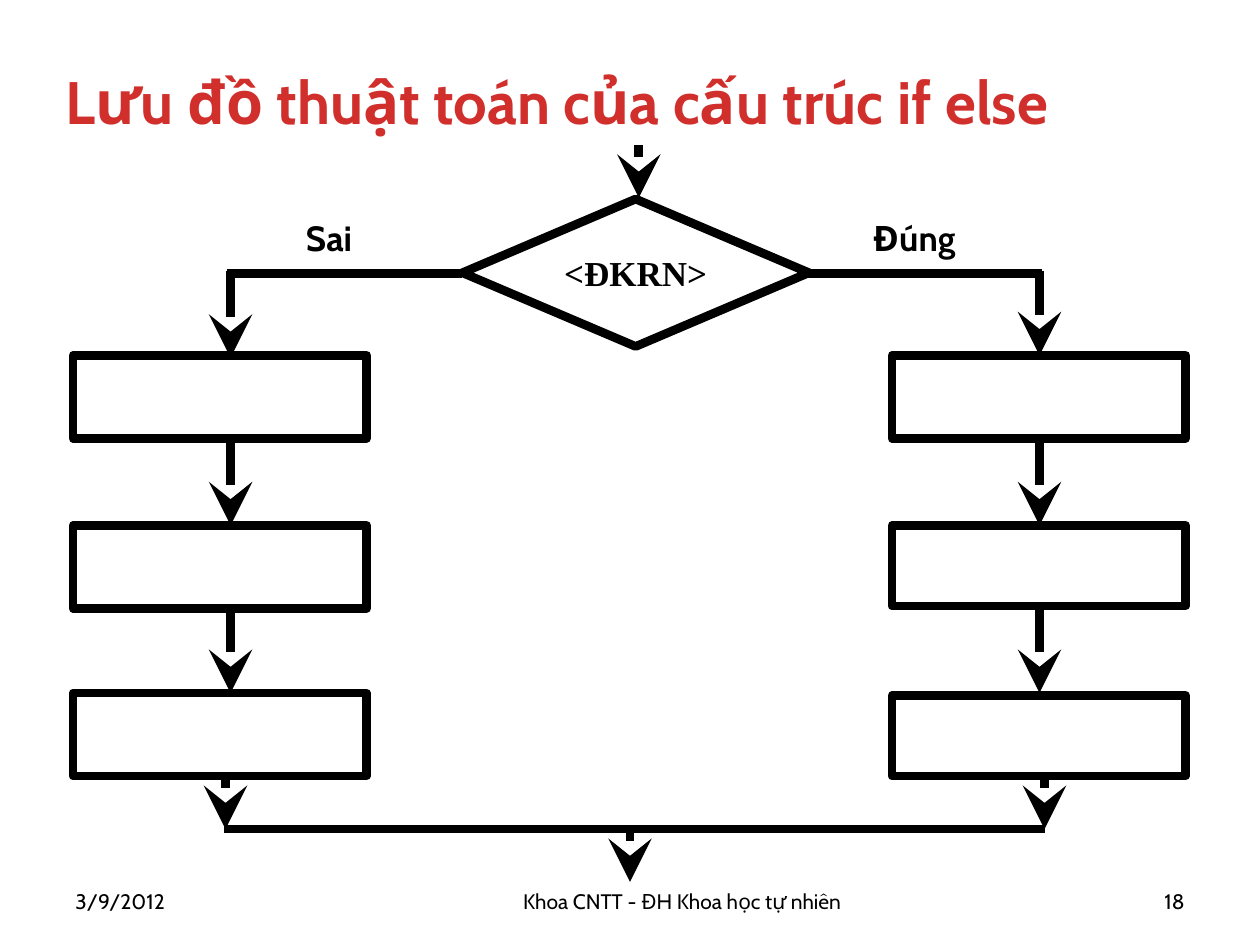
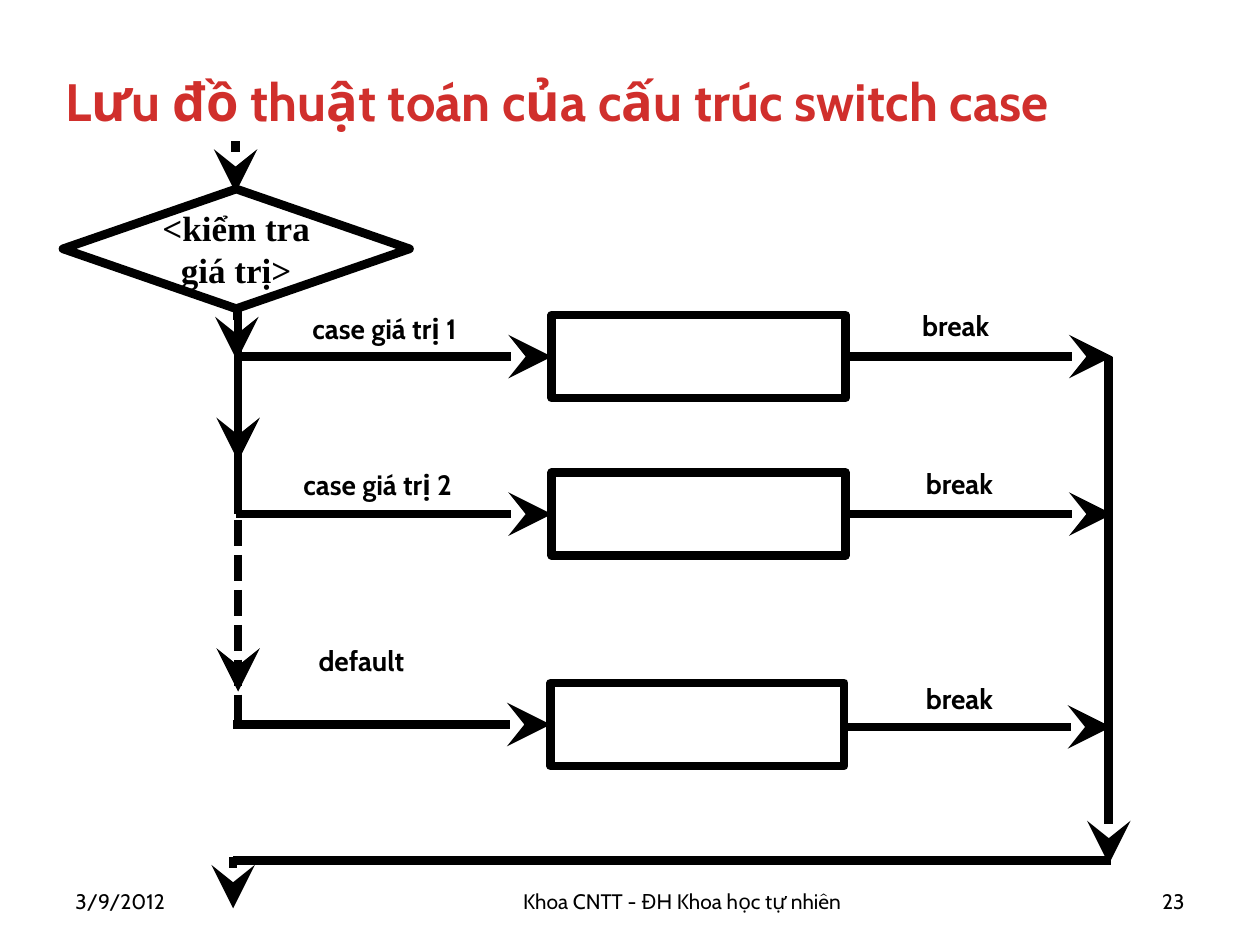
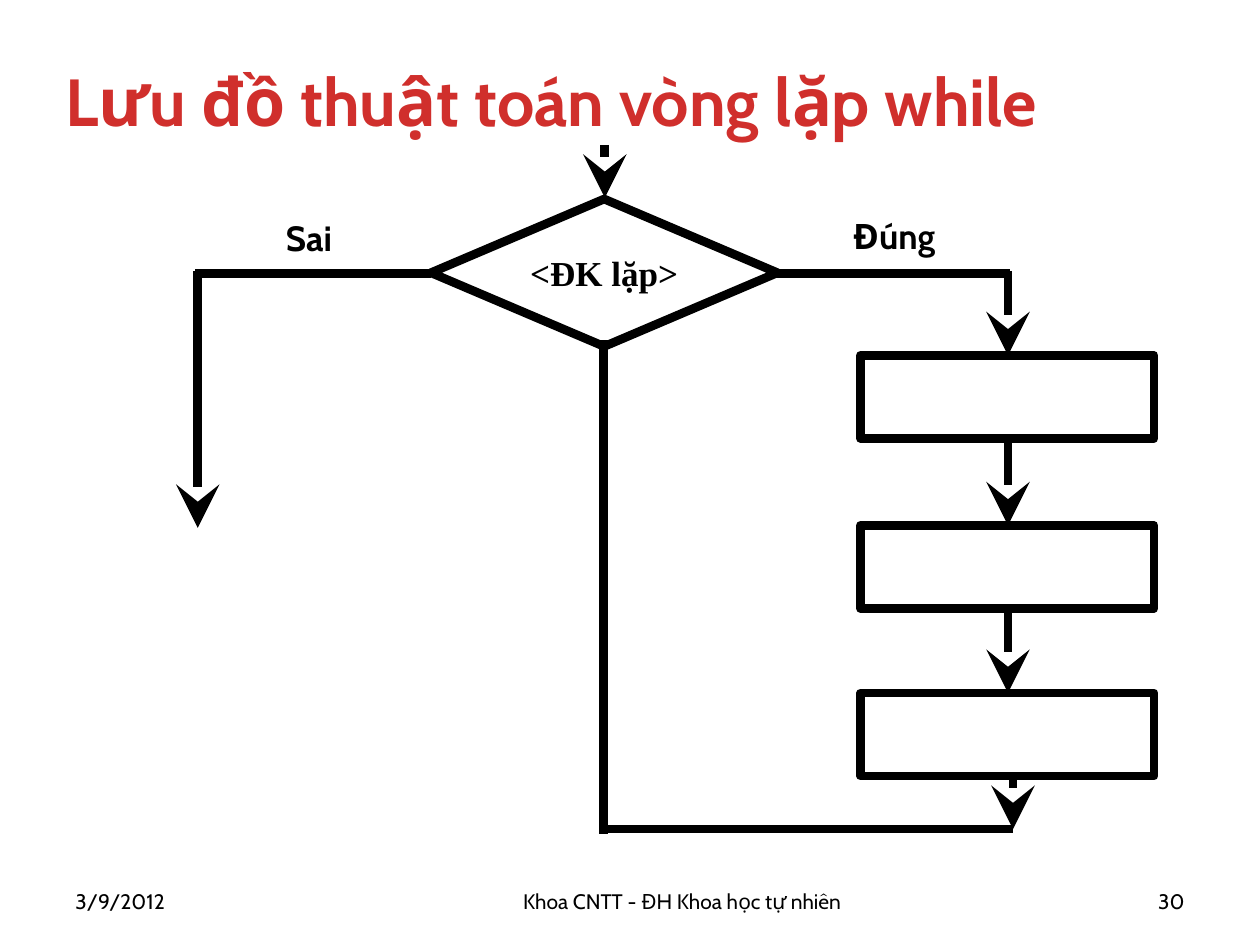
"""Build three flowchart slides: if else, switch case and while."""
from dataclasses import dataclass

from lxml import etree
from pptx import Presentation
from pptx import util as u
from pptx.dml.color import RGBColor
from pptx.enum import dml, shapes, text
from pptx.oxml import ns

ALIGN = text.PP_ALIGN
ANCHOR = text.MSO_ANCHOR


@dataclass(frozen=True)
class Theme:
    ink: str = "000000"
    paper: str = "FFFFFF"
    heading: str = "D02F2C"
    face: str = "Cabin"
    condition_face: str = "Times New Roman"
    branch_size: float = 20
    case_size: float = 16
    footer_size: float = 12
    stroke: float = 5
    step_width: float = 2.33
    step_height: float = 0.66
    diamond_width: float = 2.75
    label_height: float = 0.44
    date: str = "3/9/2012"
    school: str = "Khoa CNTT - ĐH Khoa học tự nhiên"


def write(frame, words, size, color, face, bold=False, align=ALIGN.LEFT,
          anchor=ANCHOR.TOP, inset=0.1):
    frame.text = words
    frame.word_wrap = True
    frame.auto_size = text.MSO_AUTO_SIZE.NONE
    frame.vertical_anchor = anchor
    frame.margin_left = frame.margin_right = u.Inches(inset)
    frame.margin_top = frame.margin_bottom = u.Inches(0.05)
    paragraph = frame.paragraphs[0]
    paragraph.alignment = align
    paragraph.space_before = u.Pt(0)
    font = paragraph.runs[0].font
    font.size = u.Pt(size)
    font.name = face
    font.bold = bold
    font.color.rgb = RGBColor.from_string(color)


class Deck:
    def __init__(self, theme):
        self.theme = theme
        self.show = Presentation()
        self.show.slide_width = u.Inches(10)
        self.show.slide_height = u.Inches(7.5)
        self.slide = None

    def start(self, heading, size, number):
        theme = self.theme
        self.slide = self.show.slides.add_slide(self.show.slide_layouts[1])
        title = self.slide.shapes.title
        self.place(title, 0.42, 0.17, 9.42, 1.25)
        write(title.text_frame, heading, size, theme.heading, theme.face,
              bold=True, anchor=ANCHOR.MIDDLE)
        for words, left, width, align in (
                (theme.date, 0.5, 1.08, ALIGN.LEFT),
                (theme.school, 2.08, 6.67, ALIGN.CENTER),
                (str(number), 8.92, 0.58, ALIGN.RIGHT)):
            self.text_box(words, left, 6.95, width, 0.4, size=theme.footer_size,
                          align=align, anchor=ANCHOR.MIDDLE)

    def place(self, item, left, top, width, height):
        item.left, item.top = u.Inches(left), u.Inches(top)
        item.width, item.height = u.Inches(width), u.Inches(height)

    def text_box(self, words, left, top, width, height, **style):
        box = self.slide.shapes.add_textbox(
            u.Inches(left), u.Inches(top), u.Inches(width), u.Inches(height))
        write(box.text_frame, words, color=self.theme.ink, face=self.theme.face,
              **style)

    def label(self, words, left, top, width, size):
        self.text_box(words, left, top, width, self.theme.label_height,
                      size=size, bold=True)

    def main_label(self, words, left, top, width, size):
        theme = self.theme
        body = self.slide.placeholders[1]
        self.place(body, left, top, width, theme.label_height)
        write(body.text_frame, words, size, theme.ink, theme.face, bold=True)
        properties = body.text_frame.paragraphs[0]._p.get_or_add_pPr()
        properties.set("marL", "0")
        properties.set("indent", "0")
        etree.SubElement(properties, ns.qn("a:buNone"))

    def outline(self, preset, left, top, width, height):
        item = self.slide.shapes.add_shape(
            preset, u.Inches(left), u.Inches(top), u.Inches(width), u.Inches(height))
        item.shadow.inherit = False
        item.line.color.rgb = RGBColor.from_string(self.theme.ink)
        item.line.width = u.Pt(self.theme.stroke)
        return item

    def condition(self, words, left, top, height):
        theme = self.theme
        diamond = self.outline(shapes.MSO_SHAPE.DIAMOND, left, top,
                               theme.diamond_width, height)
        diamond.fill.solid()
        diamond.fill.fore_color.rgb = RGBColor.from_string(theme.paper)
        write(diamond.text_frame, words, theme.branch_size, theme.ink,
              theme.condition_face, bold=True, align=ALIGN.CENTER,
              anchor=ANCHOR.MIDDLE, inset=0.05)

    def step(self, left, top, height=None):
        box = self.outline(shapes.MSO_SHAPE.RECTANGLE, left, top,
                           self.theme.step_width, height or self.theme.step_height)
        box.fill.background()

    def line(self, x1, y1, x2, y2, arrow=False, dashed=False):
        link = self.slide.shapes.add_connector(
            shapes.MSO_CONNECTOR.STRAIGHT,
            u.Inches(x1), u.Inches(y1), u.Inches(x2), u.Inches(y2))
        link.line.color.rgb = RGBColor.from_string(self.theme.ink)
        link.line.width = u.Pt(self.theme.stroke)
        if dashed:
            link.line.dash_style = dml.MSO_LINE.SQUARE_DOT
        properties = link._element.spPr
        if arrow:
            etree.SubElement(properties.find(ns.qn("a:ln")), ns.qn("a:tailEnd"),
                             type="stealth", w="lg", len="lg")
        etree.SubElement(properties, ns.qn("a:effectLst"))

    def arrow(self, x1, y1, x2, y2):
        self.line(x1, y1, x2, y2, arrow=True)

    def branch(self, left, axis, exit_x, steps, first_end=2.82):
        self.arrow(axis, 2.15, axis, first_end)
        for top, height in steps:
            self.step(left, top, height)
        for start, end in ((3.48, 4.17), (4.81, 5.5)):
            self.arrow(axis, start, axis, end)
        self.arrow(exit_x, 6.17, exit_x, 6.58)


EVEN_STEPS = ((2.82, 0.66), (4.17, 0.66), (5.5, 0.66))
TRUE_STEPS = ((2.82, 0.66), (4.17, 0.64), (5.52, 0.64))


def if_else(deck):
    size = deck.theme.branch_size
    deck.start("Lưu đồ thuật toán của cấu trúc if else", 34.2, 18)
    deck.condition("<ĐKRN>", 3.67, 1.58, 1.17)
    deck.main_label("Đúng", 6.83, 1.67, 1.08, size)
    deck.label("Sai", 2.33, 1.67, 1.08, size)
    deck.line(6.38, 2.17, 8.27, 2.17)
    deck.line(1.8, 2.17, 3.67, 2.17)
    deck.branch(7.08, 8.25, 8.29, TRUE_STEPS)
    deck.branch(0.58, 1.83, 1.79, EVEN_STEPS, first_end=2.84)
    deck.line(1.78, 6.58, 8.29, 6.58)
    deck.arrow(5, 6.58, 5, 7)
    deck.arrow(5.07, 1.15, 5.07, 1.57)


def switch_case(deck):
    size = deck.theme.case_size
    deck.start("Lưu đồ thuật toán của cấu trúc switch case", 30, 23)
    deck.condition("<kiểm tra giá trị>", 0.5, 1.5, 0.95)
    deck.main_label("case giá trị 1", 2.38, 2.42, 1.92, size)
    deck.label("case giá trị 2", 2.31, 3.66, 1.92, size)
    deck.label("default", 2.43, 5.06, 1.07, size)
    for step_left, step_top, entry_x, entry_y, exit_y, break_left, break_top in (
            (4.38, 2.5, 1.87, 2.83, 2.83, 7.22, 2.4),
            (4.38, 3.75, 1.87, 4.08, 4.08, 7.25, 3.65),
            (4.37, 5.42, 1.85, 5.75, 5.77, 7.25, 5.36)):
        deck.arrow(entry_x, entry_y, step_left, entry_y)
        deck.step(step_left, step_top)
        deck.arrow(step_left + 2.34, exit_y, step_left + 4.45, exit_y)
        deck.label("break", break_left, break_top, 1.03, size)
    deck.line(1.89, 2.42, 1.89, 4.08)
    deck.line(1.89, 3.85, 1.89, 5.78, dashed=True)
    deck.line(1.85, 6.83, 8.82, 6.83)
    deck.arrow(8.8, 2.83, 8.8, 6.86)
    for axis, top in ((1.87, 1.12), (1.88, 2.45), (1.89, 3.25),
                      (1.89, 5.08), (1.85, 6.8)):
        deck.arrow(axis, top, axis, top + 0.41)


def while_loop(deck):
    size = deck.theme.branch_size
    deck.start("Lưu đồ thuật toán vòng lặp while", 38, 30)
    deck.condition("<ĐK lặp>", 3.42, 1.58, 1.17)
    deck.main_label("Đúng", 6.67, 1.65, 1.08, size)
    deck.label("Sai", 2.17, 1.67, 1.08, size)
    deck.line(6.13, 2.17, 8.02, 2.17)
    deck.line(1.55, 2.17, 3.42, 2.17)
    deck.arrow(1.57, 2.15, 1.57, 4.19)
    deck.branch(6.83, 8, 8.04, EVEN_STEPS)
    deck.line(4.79, 6.58, 8.04, 6.58)
    deck.line(4.79, 2.7, 4.79, 6.62)
    deck.arrow(4.8, 1.15, 4.8, 1.57)


def main():
    deck = Deck(Theme())
    for build in (if_else, switch_case, while_loop):
        build(deck)
    deck.show.save("out.pptx")


if __name__ == "__main__":
    main()
